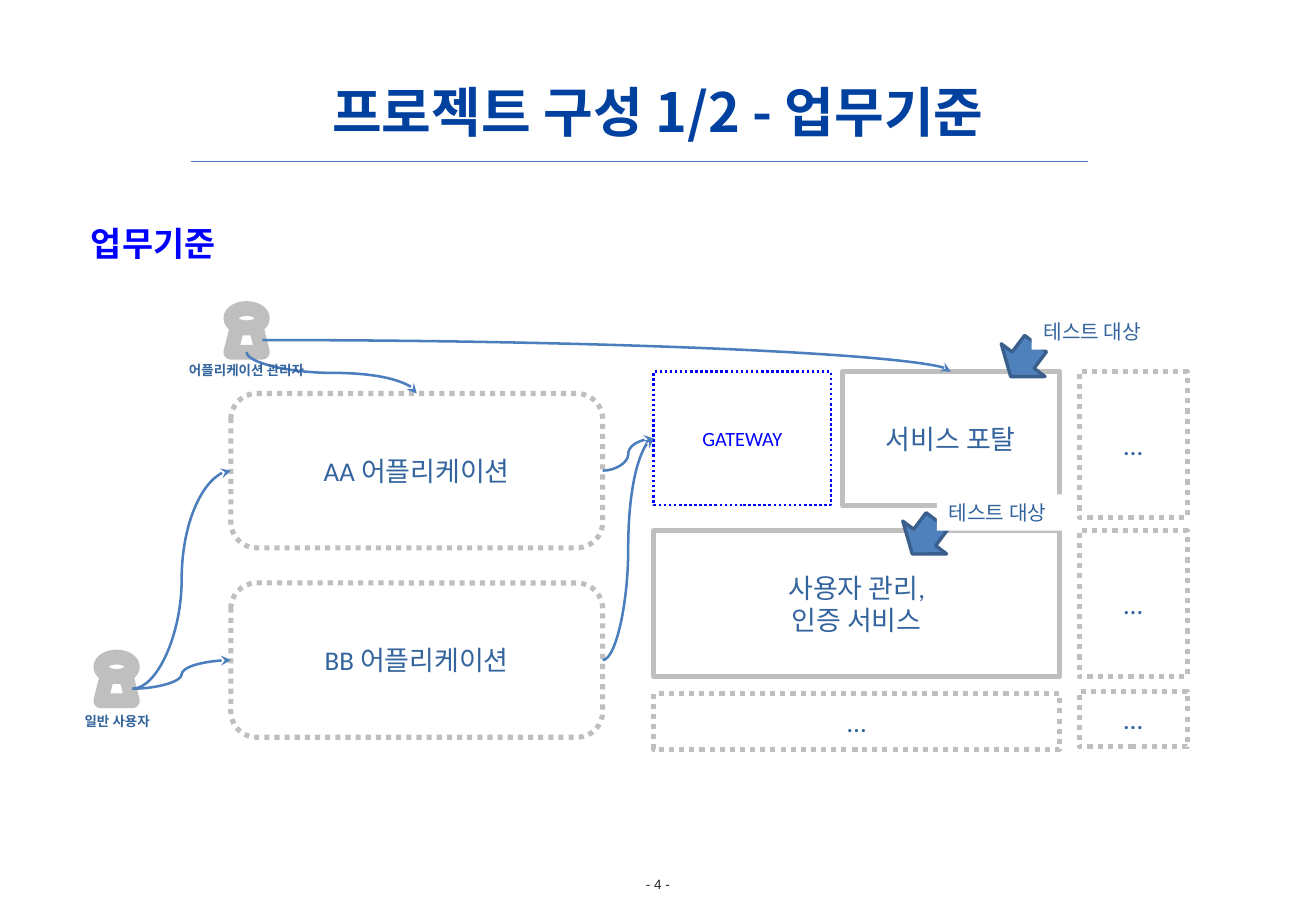
import pptx
import pptx.dml.color
import pptx.enum.dml
import pptx.enum.shapes
import pptx.enum.text
import pptx.oxml
import pptx.oxml.ns
import pptx.util

SHAPE = pptx.enum.shapes.MSO_SHAPE
CONNECTOR = pptx.enum.shapes.MSO_CONNECTOR
ALIGN = pptx.enum.text.PP_ALIGN
ANCHOR = pptx.enum.text.MSO_ANCHOR
FIT = pptx.enum.text.MSO_AUTO_SIZE
DOTTED = pptx.enum.dml.MSO_LINE.ROUND_DOT
KOREAN, LATIN, NUMBER = "Noto Sans CJK KR", "Calibri", "Arial"
INK, GREY, BLUE, WHITE, CURVE = "34649D", "BFBFBF", "0000FF", "FFFFFF", "4B7EBC"
COLUMNS, ROWS = 108.3, 75
TOP, LEFT, BOTTOM, RIGHT = range(4)


def color(value):
    return pptx.dml.color.RGBColor.from_string(value)


def assign(target, values):
    for name, value in values.items():
        setattr(target, name, value)


class Board:
    """Draw the elements of one slide on a grid of 108.3 columns by 75 rows."""

    def __init__(self, presentation):
        self.slide = presentation.slides.add_slide(presentation.slide_layouts[6])
        self.column = presentation.slide_width / COLUMNS
        self.row = presentation.slide_height / ROWS

    def place(self, *lengths):
        units = (self.column, self.row) * 2
        return [round(length * unit) for length, unit in zip(lengths, units)]

    def label(self, shape, text, size=16, font=LATIN, ink=INK, bold=False,
              align=ALIGN.CENTER, spacing=None, frame=None):
        assign(shape.text_frame, {"word_wrap": False, **(frame or {})})
        for index, line in enumerate(text.split("\n")):
            paragraphs = shape.text_frame.paragraphs
            paragraph = shape.text_frame.add_paragraph() if index else paragraphs[0]
            assign(paragraph, {"alignment": align, "line_spacing": spacing})
            run = paragraph.add_run()
            run.text = line
            assign(run.font, {"size": pptx.util.Pt(size), "name": font, "bold": bold})
            run.font.color.rgb = color(ink)
            east_asian = pptx.oxml.parse_xml(
                f'<a:ea {pptx.oxml.ns.nsdecls("a")} typeface="{KOREAN}"/>')
            run.font._element.append(east_asian)

    def text(self, area, text, **style):
        shape = self.slide.shapes.add_textbox(*self.place(*area))
        self.label(shape, text, **style)

    def shape(self, kind, area, fill=WHITE, line=GREY, width=3, dash=None, rotation=0):
        shape = self.slide.shapes.add_shape(kind, *self.place(*area))
        shape.shadow.inherit = False
        shape.rotation = rotation
        shape.fill.solid()
        shape.fill.fore_color.rgb = color(fill)
        if line is None:
            shape.line.fill.background()
        else:
            shape.line.color.rgb = color(line)
            assign(shape.line, {"width": pptx.util.Pt(width), "dash_style": dash})
        return shape

    def box(self, area, text, kind=SHAPE.RECTANGLE, size=16, ink=INK, **outline):
        shape = self.shape(kind, area, **outline)
        margins = ("margin_left", "margin_top", "margin_right", "margin_bottom")
        frame = {**dict.fromkeys(margins, 0), "vertical_anchor": ANCHOR.MIDDLE}
        self.label(shape, text, size=size, ink=ink, frame=frame)
        return shape

    def person(self, left, top):
        self.shape(SHAPE.OVAL, (left, top, 2.6, 1.6), width=8.75)
        return self.shape(SHAPE.TRAPEZOID, (left, top + 1.6, 2.6, 2), width=8.75)

    def target(self, arrow, caption):
        self.shape(SHAPE.LEFT_ARROW, (*arrow, 3.4, 4.5), fill="4F81BD",
                   line="3A5F8C", width=2, rotation=306.8)
        shape = self.shape(SHAPE.RECTANGLE, (*caption, 11, 3), line=None)
        self.label(shape, "테스트 대상", size=12, font=KOREAN, align=ALIGN.LEFT,
                   frame={"auto_size": FIT.SHAPE_TO_FIT_TEXT,
                          "vertical_anchor": ANCHOR.TOP})

    def line(self, kind, start, end, width):
        connector = self.slide.shapes.add_connector(kind, *self.place(*start, *end))
        connector.line.color.rgb = color(CURVE)
        connector.line.width = pptx.util.Pt(width)
        effects = f'<a:effectLst {pptx.oxml.ns.nsdecls("a")}/>'
        connector._element.spPr.append(pptx.oxml.parse_xml(effects))
        return connector

    def flow(self, start, start_site, end, end_site):
        connector = self.line(CONNECTOR.CURVE, (0, 0), (1, 1), 1.5)
        connector.begin_connect(start, start_site)
        connector.end_connect(end, end_site)
        head = f'<a:tailEnd {pptx.oxml.ns.nsdecls("a")} type="stealth"/>'
        connector.line._get_or_add_ln().append(pptx.oxml.parse_xml(head))
        properties = connector._element.spPr
        if end_site == TOP and start_site == RIGHT:
            properties.prstGeom.set("prst", "curvedConnector2")
        elif end_site == TOP:
            width, height = connector.width, connector.height
            assign(connector, {"left": connector.left + (width - height) // 2,
                               "top": connector.top + (height - width) // 2,
                               "width": height, "height": width})
            properties.xfrm.set("rot", "16200000")
            properties.xfrm.set("flipH", "1")


def main():
    presentation = pptx.Presentation()
    assign(presentation, {"slide_width": pptx.util.Inches(10.83),
                          "slide_height": pptx.util.Inches(7.5)})
    board = Board(presentation)
    middle = {"vertical_anchor": ANCHOR.MIDDLE}
    wrapped = {"word_wrap": True}
    fitted = {"auto_size": FIT.SHAPE_TO_FIT_TEXT}

    board.text((51, 72, 6.3, 1.6), "- 4 -", size=8, font=NUMBER, ink="262626",
               frame={**middle, "margin_top": 0, "margin_bottom": 0})
    board.text((0, 4.2, COLUMNS, 10.5), "프로젝트 구성 1/2 - 업무기준", size=32,
               font=KOREAN, ink="0041A0", bold=True, spacing=pptx.util.Pt(34),
               frame={**middle, **wrapped})
    board.line(CONNECTOR.STRAIGHT, (15.7, 13.3), (89.5, 13.3), 0.75)
    board.text((6.5, 16.2, 95.8, 25.3), "업무기준", size=20, font=KOREAN, ink=BLUE,
               bold=True, align=ALIGN.LEFT, spacing=1.5, frame=wrapped)

    applications = [
        board.box((19, top, 30.6, 12.7), f"{name} 어플리케이션",
                  kind=SHAPE.ROUNDED_RECTANGLE, dash=DOTTED)
        for name, top in (("AA", 32.4), ("BB", 48))]
    portal = board.box((69.3, 30.6, 17.9, 11), "서비스 포탈")
    board.box((53.8, 43.7, 33.4, 12), "사용자 관리,\n인증 서비스")
    for area in ((88.8, 30.6, 8.9, 12), (88.8, 43.7, 8.9, 12),
                 (88.8, 56.9, 8.9, 4.6), (53.8, 57.1, 33.4, 4.6)):
        board.box(area, "…", dash=DOTTED)
    gateway = board.box((53.8, 30.6, 14.6, 11), "GATEWAY", size=12, ink=BLUE,
                        line=BLUE, width=1.5, dash=DOTTED)

    manager = board.person(19, 25.4)
    user = board.person(8.3, 54.1)
    board.flow(manager, BOTTOM, applications[0], TOP)
    board.flow(manager, RIGHT, portal, TOP)
    for application in applications:
        board.flow(user, RIGHT, application, LEFT)
        board.flow(application, RIGHT, gateway, LEFT)

    board.text((14.1, 29.3, 12.4, 2.4), "어플리케이션 관리자", size=8, bold=True,
               frame=fitted)
    board.text((5.7, 58.2, 7.9, 2.4), "일반 사용자", size=8, bold=True, frame=fitted)
    board.target((82.5, 27.4), (84.9, 25.8))
    board.target((74.4, 42), (77.1, 40.7))
    presentation.save("out.pptx")


if __name__ == "__main__":
    main()
